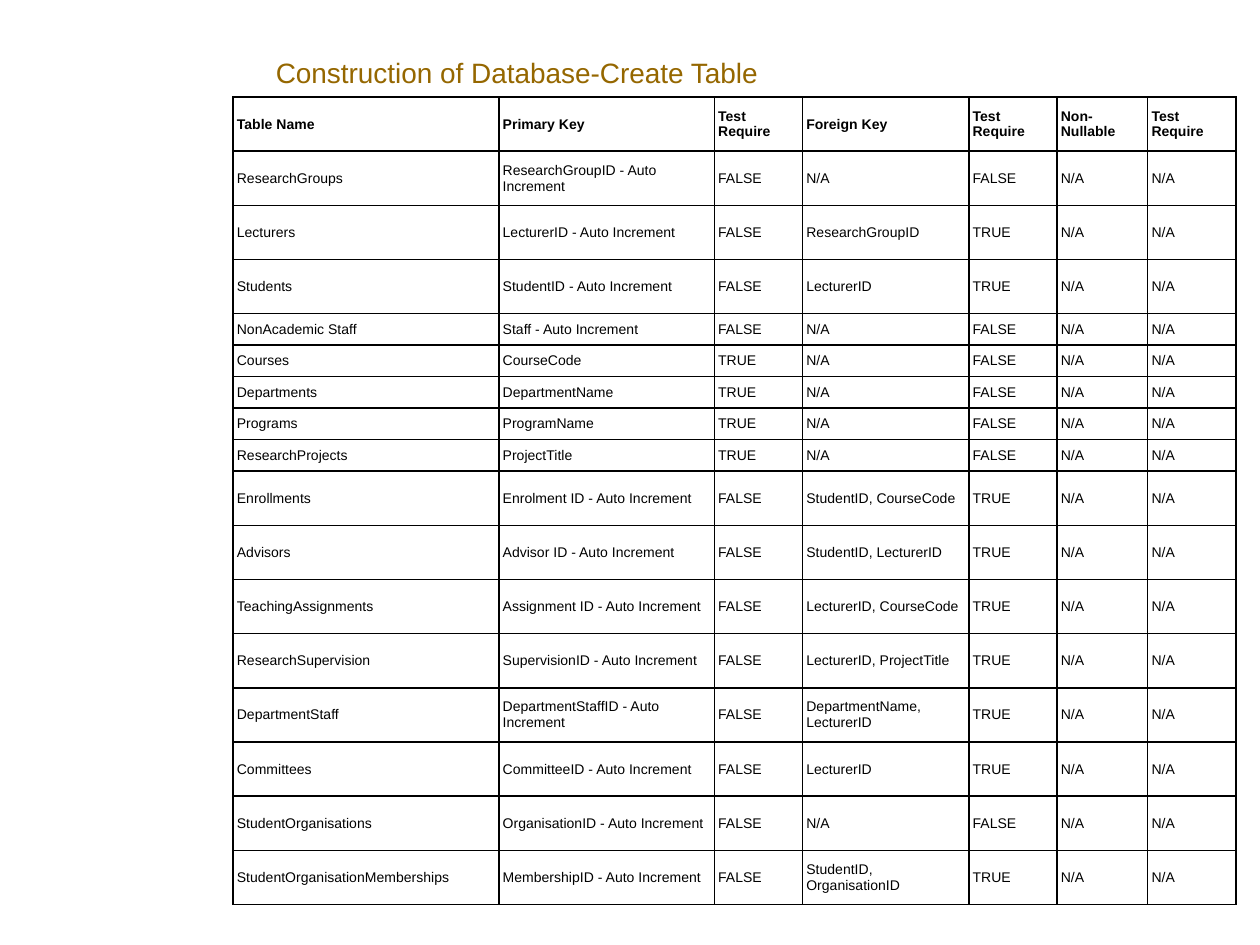
"""Build a slide listing database tables with their keys and test requirements."""
from lxml import etree
from pptx import Presentation
from pptx.dml.color import RGBColor
from pptx.enum.text import MSO_ANCHOR
from pptx.oxml.ns import qn
from pptx.util import Inches, Pt

MIDDLE, BOTTOM = MSO_ANCHOR.MIDDLE, MSO_ANCHOR.BOTTOM

COLORS = {"title": "956700", "text": "000000", "border": "000000", "cell": "FFFFFF"}
FONT = "Arial"
TITLE = "Construction of Database-Create Table"
HEADER = ("Table Name", "Primary Key", "Test Require", "Foreign Key",
          "Test Require", "Non-Nullable", "Test Require")
KEYS = [
    ("ResearchGroups", "ResearchGroupID - Auto Increment", "FALSE", "N/A", "FALSE"),
    ("Lecturers", "LecturerID - Auto Increment", "FALSE", "ResearchGroupID", "TRUE"),
    ("Students", "StudentID - Auto Increment", "FALSE", "LecturerID", "TRUE"),
    ("NonAcademic Staff", "Staff - Auto Increment", "FALSE", "N/A", "FALSE"),
    ("Courses", "CourseCode", "TRUE", "N/A", "FALSE"),
    ("Departments", "DepartmentName", "TRUE", "N/A", "FALSE"),
    ("Programs", "ProgramName", "TRUE", "N/A", "FALSE"),
    ("ResearchProjects", "ProjectTitle", "TRUE", "N/A", "FALSE"),
    ("Enrollments", "Enrolment ID - Auto Increment", "FALSE", "StudentID, CourseCode", "TRUE"),
    ("Advisors", "Advisor ID - Auto Increment", "FALSE", "StudentID, LecturerID", "TRUE"),
    ("TeachingAssignments", "Assignment ID - Auto Increment", "FALSE",
     "LecturerID, CourseCode", "TRUE"),
    ("ResearchSupervision", "SupervisionID - Auto Increment", "FALSE",
     "LecturerID, ProjectTitle", "TRUE"),
    ("DepartmentStaff", "DepartmentStaffID - Auto Increment", "FALSE",
     "DepartmentName, LecturerID", "TRUE"),
    ("Committees", "CommitteeID - Auto Increment", "FALSE", "LecturerID", "TRUE"),
    ("StudentOrganisations", "OrganisationID - Auto Increment", "FALSE", "N/A", "FALSE"),
    ("StudentOrganisationMemberships", "MembershipID - Auto Increment", "FALSE",
     "StudentID, OrganisationID", "TRUE"),
]
NULLABLE = ("N/A", "N/A")
ROWS = [HEADER] + [keys + NULLABLE for keys in KEYS]

COL_WIDTHS = (2.11, 1.71, 0.7, 1.32, 0.7, 0.72, 0.7)
TALL, SHORT = 0.43, 0.25
SHORT_ROWS = range(4, 9)
ROW_HEIGHTS = [SHORT if i in SHORT_ROWS else TALL for i in range(len(ROWS))]
CELL_FORMAT = {
    "vertical_anchor": MIDDLE,
    "margin_left": Inches(0.03), "margin_right": Inches(0.03),
    "margin_top": Inches(0.01), "margin_bottom": Inches(0.01),
}


def write(tf, text, size, color, bold=False):
    r = tf.paragraphs[0].add_run()
    r.text = text
    for name, value in {"name": FONT, "size": Pt(size), "bold": bold}.items():
        setattr(r.font, name, value)
    r.font.color.rgb = RGBColor.from_string(COLORS[color])


def add_borders(cell):
    tc_pr = cell._tc.get_or_add_tcPr()
    for i, side in enumerate(("lnL", "lnR", "lnT", "lnB")):
        ln = etree.Element(qn(f"a:{side}"), w=str(Pt(1)))
        fill = etree.SubElement(ln, qn("a:solidFill"))
        etree.SubElement(fill, qn("a:srgbClr"), val=COLORS["border"])
        tc_pr.insert(i, ln)


def add_key_table(s):
    frame = s.shapes.add_table(len(ROWS), len(HEADER), Inches(1.85), Inches(0.77),
                               Inches(sum(COL_WIDTHS)), Inches(sum(ROW_HEIGHTS)))
    table = frame.table
    table.first_row = table.horz_banding = False
    for column, width in zip(table.columns, COL_WIDTHS):
        column.width = Inches(width)
    for i, (row, height, values) in enumerate(zip(table.rows, ROW_HEIGHTS, ROWS)):
        row.height = Inches(height)
        for cell, value in zip(row.cells, values):
            for name, setting in CELL_FORMAT.items():
                setattr(cell, name, setting)
            cell.fill.solid()
            cell.fill.fore_color.rgb = RGBColor.from_string(COLORS["cell"])
            add_borders(cell)
            write(cell.text_frame, value, 8, "text", bold=i == 0)


def add_title(s):
    sp = s.shapes.add_textbox(Inches(2.09), Inches(0.13), Inches(4.41), Inches(0.63))
    tf = sp.text_frame
    tf.word_wrap = True
    tf.vertical_anchor = BOTTOM
    write(tf, TITLE, 16, "title")


def main():
    prs = Presentation()
    prs.slide_width, prs.slide_height = Inches(10), Inches(7.5)
    s = prs.slides.add_slide(prs.slide_layouts[6])
    add_key_table(s)
    add_title(s)
    prs.save("out.pptx")


if __name__ == "__main__":
    main()
